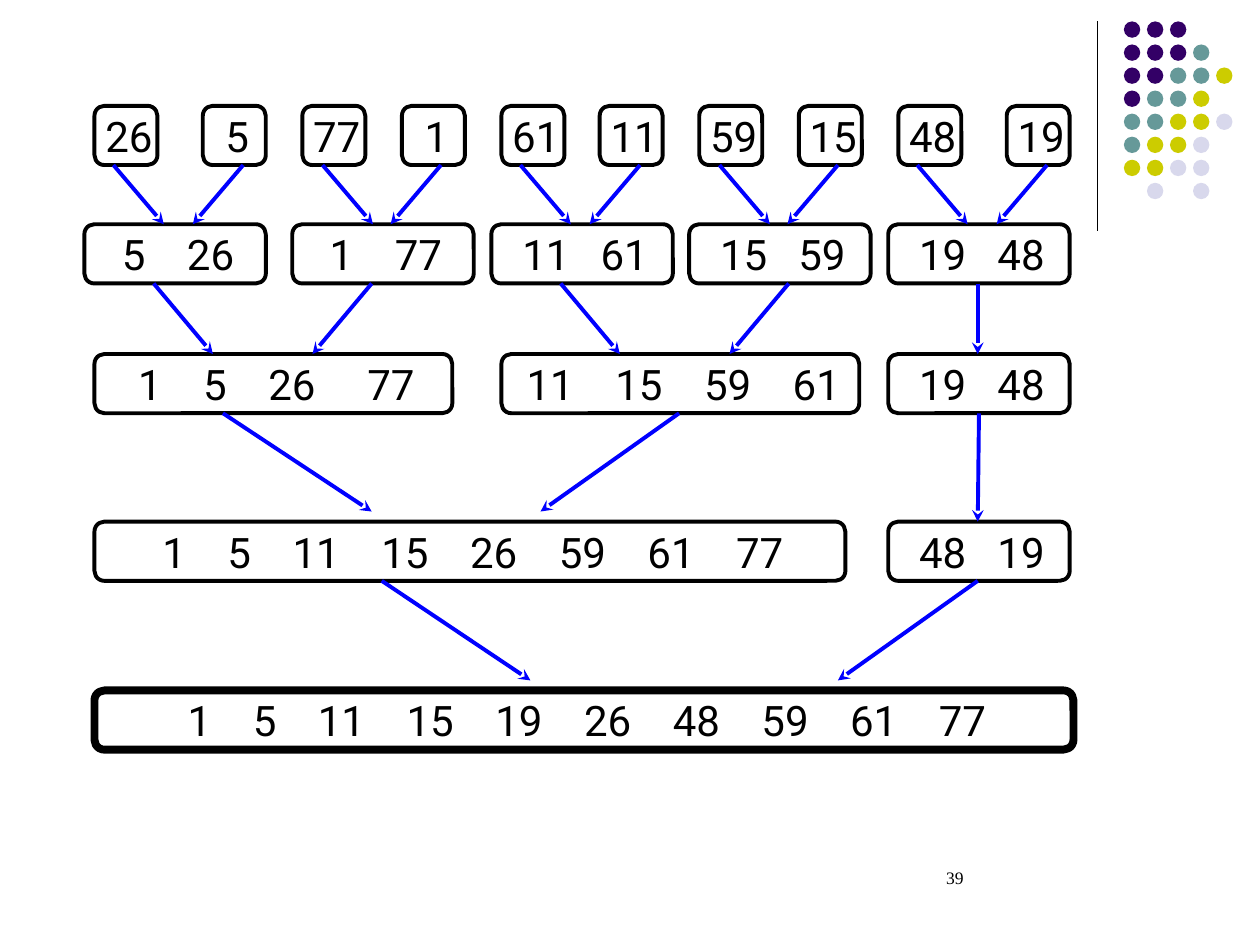
from itertools import cycle

from lxml import etree
from pptx import Presentation
from pptx.dml.color import RGBColor
from pptx.enum import shapes, text
from pptx.oxml import ns
from pptx.util import Inches, Pt

BLACK = RGBColor(0x00, 0x00, 0x00)
BLUE = RGBColor(0x00, 0x00, 0xFF)
DOT_COLORS = {
    "P": RGBColor(0x33, 0x00, 0x66),
    "T": RGBColor(0x66, 0x99, 0x99),
    "Y": RGBColor(0xCC, 0xCC, 0x00),
    "L": RGBColor(0xD8, 0xD8, 0xEC),
}
DOT_ROWS = ["PPP", "PPPT", "PPTTY", "PTTY", "TTYYL", "TYYL", "YYLL", " L L"]

BOX_H = 0.47
DIGIT_W, SPACE_W = 0.187, 0.0825
NUMBER_FONT = {"name": "Roboto", "size": Pt(24)}
PAGE_FONT = {"name": "Times New Roman", "size": Pt(10)}

SINGLES = [(0.75, 26), (1.61, 5), (2.4, 77), (3.19, 1), (3.98, 61),
           (4.76, 11), (5.55, 59), (6.34, 15), (7.13, 48), (7.99, 19)]
LEVELS = [
    (0.84, 2.25, [(x, 0.5, [n], [4]) for x, n in SINGLES]),
    (1.78, 2.25, [(0.67, 1.44, [5, 26], [4]), (2.32, 1.44, [1, 77], [4]),
                  (3.9, 1.44, [11, 61], [3]), (5.47, 1.44, [15, 59], [3]),
                  (7.05, 1.44, [19, 48], [3])]),
    (2.81, 2.25, [(0.75, 2.84, [1, 5, 26, 77], [4, 4, 5]),
                  (3.98, 2.84, [11, 15, 59, 61], [4]),
                  (7.05, 1.44, [19, 48], [3])]),
    (4.14, 2.25, [(0.75, 5.96, [1, 5, 11, 15, 26, 59, 61, 77], [4]),
                  (7.05, 1.44, [48, 19], [3])]),
    (5.48, 4.5, [(0.75, 7.77, [1, 5, 11, 15, 19, 26, 48, 59, 61, 77], [4])]),
]
PAIR_STARTS = [(0.9, 1.93), (2.56, 3.5), (4.13, 5.08), (5.71, 6.65), (7.28, 8.31)]
ARROWS = [
    [(x, x + step, 0) for a, b in PAIR_STARTS for x, step in ((a, 0.4), (b, -0.4))],
    [(1.22, 1.69, 0), (2.95, 2.48, 0), (4.45, 4.92, 0), (6.26, 5.79, 0), (7.76, 7.76, 0)],
    [(1.77, 2.95, 0.08), (5.39, 4.29, 0.08), (7.77, 7.76, 0)],
    [(3.03, 4.21, 0.08), (7.76, 6.65, 0.08)],
]


def set_font(r, values):
    """Apply font values and black text to a run."""
    for key, value in values.items():
        setattr(r.font, key, value)
    r.font.color.rgb = BLACK


def set_frame(tf, **values):
    """Apply format values to a text frame."""
    for key, value in values.items():
        setattr(tf, key, value)


def add_line(s, start, end, color, width, arrow=False):
    """Draw a straight line, with an arrowhead at its end if asked."""
    points = [Inches(v) for v in (*start, *end)]
    line = s.shapes.add_connector(shapes.MSO_CONNECTOR.STRAIGHT, *points)
    line.line.color.rgb = color
    line.line.width = Pt(width)
    if arrow:
        etree.SubElement(line.line._get_or_add_ln(), ns.qn("a:tailEnd"), type="stealth")
    etree.SubElement(line._element.spPr, ns.qn("a:effectLst"))


def add_list_box(s, x, y, w, numbers, gaps, line_width):
    """Draw a rounded box with its numbers centred as a group on tab stops."""
    sp = s.shapes.add_shape(shapes.MSO_SHAPE.ROUNDED_RECTANGLE,
                            *[Inches(v) for v in (x, y, w, BOX_H)])
    sp.shadow.inherit = False
    sp.fill.background()
    sp.line.color.rgb = BLACK
    sp.line.width = Pt(line_width)

    stops, end = [], 0
    for number, gap in zip(numbers, cycle(gaps)):
        stops.append(end)
        width = len(str(number)) * DIGIT_W
        end += width + gap * SPACE_W
    total = stops[-1] + width

    tf = sp.text_frame
    set_frame(tf, word_wrap=True, vertical_anchor=text.MSO_ANCHOR.MIDDLE,
              margin_left=Inches((w - total) / 2), margin_right=0)
    p = tf.paragraphs[0]
    p.alignment = text.PP_ALIGN.LEFT
    if len(stops) > 1:
        tabs = etree.SubElement(p._p.get_or_add_pPr(), ns.qn("a:tabLst"))
        for stop in stops[1:]:
            etree.SubElement(tabs, ns.qn("a:tab"), pos=str(Inches(stop)), algn="l")
    r = p.add_run()
    r.text = "\t".join(str(n) for n in numbers)
    set_font(r, NUMBER_FONT)


def add_dots(s, x, y, pitch=0.183, size=0.13):
    """Draw the grid of coloured dots from its top left corner."""
    group = s.shapes.add_group_shape()
    for row, codes in enumerate(DOT_ROWS):
        for col, code in enumerate(codes):
            if code in DOT_COLORS:
                sp = group.shapes.add_shape(
                    shapes.MSO_SHAPE.OVAL, Inches(x + col * pitch),
                    Inches(y + row * pitch), Inches(size), Inches(size))
                sp.shadow.inherit = False
                sp.fill.solid()
                sp.fill.fore_color.rgb = DOT_COLORS[code]
                sp.line.fill.background()


def add_merge_tree(s, x, y):
    """Draw every level of the merge sort, joined by arrows."""
    for top, line_width, boxes in LEVELS:
        for left, w, numbers, gaps in boxes:
            add_list_box(s, x + left, y + top, w, numbers, gaps, line_width)
    for upper, lower, arrows in zip(LEVELS, LEVELS[1:], ARROWS):
        for x1, x2, clearance in arrows:
            add_line(s, (x + x1, y + upper[0] + BOX_H),
                     (x + x2, y + lower[0] - clearance), BLUE, 2.25, arrow=True)


def add_page_number(s, x, y, w, h):
    """Write the page number in its box."""
    tf = s.shapes.add_textbox(*[Inches(v) for v in (x, y, w, h)]).text_frame
    set_frame(tf, word_wrap=True, margin_left=Inches(0.34))
    r = tf.paragraphs[0].add_run()
    r.text = "39"
    set_font(r, PAGE_FONT)


def main():
    """Build and save the slide."""
    prs = Presentation()
    prs.slide_width, prs.slide_height = Inches(10), Inches(7.5)
    s = prs.slides.add_slide(prs.slide_layouts[6])
    add_line(s, (8.71, 0.17), (8.71, 1.83), BLACK, 0.75)
    add_dots(s, 8.92, 0.17)
    add_merge_tree(s, 0, 0)
    add_page_number(s, 7.17, 6.83, 2.33, 0.5)
    prs.save("out.pptx")


if __name__ == "__main__":
    main()
